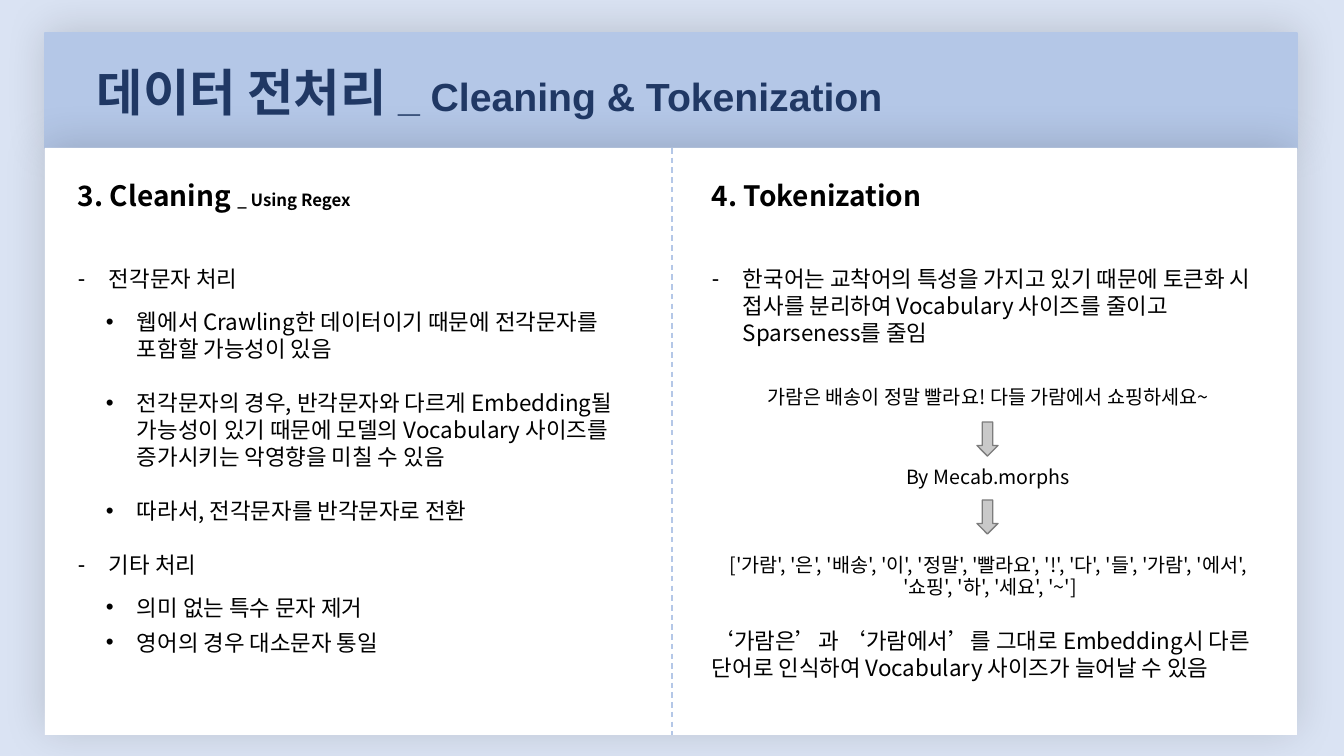
from lxml.etree import SubElement
from pptx import Presentation
from pptx.dml.color import RGBColor
from pptx.enum.dml import MSO_LINE
from pptx.enum.shapes import MSO_CONNECTOR, MSO_SHAPE
from pptx.enum.text import MSO_ANCHOR, MSO_AUTO_SIZE, PP_ALIGN
from pptx.oxml.ns import qn
from pptx.util import Emu, Pt

COLORS = {
    "background": "DAE3F3", "band": "B4C7E7", "panel": "FFFFFF", "title": "203864",
    "text": "000000", "arrow": "C9C9C9", "arrow_edge": "7C7C7C",
}
KOREAN_FONT = "Noto Sans CJK KR"
LINE_HEIGHT = {20: 36, 16: 27, 14: 23}
BULLETS = {0: ("-", 31), 1: ("•", 59)}
HANGING = 31

CLEANING = [
    (0, 53, "전각문자 처리"),
    (1, 16, "웹에서 Crawling한 데이터이기 때문에 전각문자를 포함할 가능성이 있음"),
    (1, 27, "전각문자의 경우, 반각문자와 다르게 Embedding될 가능성이 있기 때문에 "
            "모델의 Vocabulary 사이즈를 증가시키는 악영향을 미칠 수 있음"),
    (1, 27, "따라서, 전각문자를 반각문자로 전환"),
    (0, 27, "기타 처리"),
    (1, 16, "의미 없는 특수 문자 제거"),
    (1, 8, "영어의 경우 대소문자 통일"),
]
TOKENIZATION = [
    (0, 53, "한국어는 교착어의 특성을 가지고 있기 때문에 토큰화 시 접사를 분리하여 "
            "Vocabulary 사이즈를 줄이고 Sparseness를 줄임"),
]
SENTENCE = "가람은 배송이 정말 빨라요! 다들 가람에서 쇼핑하세요~"
TOKENS = ("['가람', '은', '배송', '이', '정말', '빨라요', '!', '다', '들', '가람', "
          "'에서', '쇼핑', '하', '세요', '~']")
REMARK = ("‘가람은’과 ‘가람에서’를 그대로 Embedding시 다른 단어로 인식하여 "
          "Vocabulary 사이즈가 늘어날 수 있음")


def px(length):
    """Turn a length in px into EMU."""
    return Emu(round(length * 914400 / 100.8))


def rgb(name):
    """Look up a named colour."""
    return RGBColor.from_string(COLORS[name])


def style_run(run, size, bold=False, color="text", latin=KOREAN_FONT):
    """Give a run its size, weight, colour and fonts."""
    font = run.font
    font.size, font.bold, font.name = Pt(size), bold, latin
    font.color.rgb = rgb(color)
    SubElement(run._r.get_or_add_rPr(), qn("a:ea")).set("typeface", KOREAN_FONT)


def style_paragraph(paragraph, size, before=0, align=PP_ALIGN.LEFT, bold=False):
    """Set spacing and alignment of a paragraph and style its runs."""
    paragraph.line_spacing = px(LINE_HEIGHT[size])
    paragraph.space_before, paragraph.space_after = px(before), Pt(0)
    paragraph.alignment = align
    for run in paragraph.runs:
        style_run(run, size, bold)


def set_bullet(paragraph, level):
    """Give a paragraph the bullet and indents of its level, or none."""
    properties = paragraph._p.get_or_add_pPr()
    if level is None:
        properties.set("marL", "0")
        properties.set("indent", "0")
        SubElement(properties, qn("a:buNone"))
        return
    mark, margin = BULLETS[level]
    paragraph.level = level
    properties.set("marL", str(px(margin)))
    properties.set("indent", str(-px(HANGING)))
    SubElement(properties, qn("a:buChar")).set("char", mark)


def fit_frame(frame, anchor=MSO_ANCHOR.TOP):
    """Give a text frame its wrapping, anchor and insets."""
    frame.word_wrap, frame.auto_size = True, MSO_AUTO_SIZE.NONE
    frame.vertical_anchor = anchor
    frame.margin_left = frame.margin_right = px(10)
    frame.margin_top = frame.margin_bottom = px(5)


def place(shape, box):
    """Move a placeholder to a box, in front of everything drawn so far."""
    shape.left, shape.top, shape.width, shape.height = map(px, box)
    shape.element.getparent().append(shape.element)


def add_filled(slide, kind, box, fill, edge=None):
    """Draw a flat preset shape."""
    shape = slide.shapes.add_shape(kind, *map(px, box))
    shape.shadow.inherit = False
    shape.fill.solid()
    shape.fill.fore_color.rgb = rgb(fill)
    if edge:
        shape.line.color.rgb, shape.line.width = rgb(edge), Pt(1)
    else:
        shape.line.fill.background()
    return shape


def add_panel(slide, box, fill, edge=None):
    """Draw a rectangle with a soft shadow above it."""
    panel = add_filled(slide, MSO_SHAPE.RECTANGLE, box, fill, edge)
    effects = panel.element.spPr.find(qn("a:effectLst"))
    shadow = SubElement(effects, qn("a:outerShdw"), blurRad=str(Pt(30)), dist=str(Pt(3)),
                        dir="16200000", algn="b", rotWithShape="0")
    tint = SubElement(shadow, qn("a:srgbClr"), val="000000")
    SubElement(tint, qn("a:alpha"), val="15000")


def add_divider(slide, x, top, bottom):
    """Draw the dashed line between the two columns."""
    divider = slide.shapes.add_connector(MSO_CONNECTOR.STRAIGHT, px(x), px(top), px(x), px(bottom))
    divider.line.color.rgb, divider.line.width = rgb("band"), Pt(1)
    divider.line.dash_style = MSO_LINE.DASH
    SubElement(divider.element.spPr, qn("a:effectLst"))


def add_label(slide, box, words, size=14, align=PP_ALIGN.CENTER):
    """Write one paragraph in a text box."""
    frame = slide.shapes.add_textbox(*map(px, box)).text_frame
    fit_frame(frame)
    frame.text = words
    style_paragraph(frame.paragraphs[0], size, align=align)


def fill_title(title, box):
    """Write the slide title with its smaller subtitle."""
    place(title, box)
    frame = title.text_frame
    fit_frame(frame, MSO_ANCHOR.MIDDLE)
    frame.text = "데이터 전처리 "
    heading = frame.paragraphs[0]
    heading.alignment = PP_ALIGN.LEFT
    heading.add_run().text = "_ Cleaning & Tokenization"
    for run, size in zip(heading.runs, (36, 28)):
        style_run(run, size, True, "title", "Arial")


def fill_column(body, box, heading, items, note=None):
    """Write a heading, with an optional small note, over a bulleted list."""
    place(body, box)
    frame = body.text_frame
    fit_frame(frame)
    frame.text = heading
    head = frame.paragraphs[0]
    set_bullet(head, None)
    style_paragraph(head, 20, bold=True)
    if note:
        run = head.add_run()
        run.text = note
        style_run(run, 12, True)
    for level, before, words in items:
        item = frame.add_paragraph()
        item.text = words
        set_bullet(item, level)
        style_paragraph(item, 16, before)


def add_example(slide, box):
    """Draw the tokenizing example: sentence, tool, tokens and remark."""
    left, top, width, _ = box
    add_label(slide, (left, top, width, 34), SENTENCE)
    add_label(slide, (left + 131, top + 80, width - 262, 34), "By Mecab.morphs")
    for offset in (42, 120):
        arrow_box = (left + width // 2 - 11, top + offset, 21, 34)
        add_filled(slide, MSO_SHAPE.DOWN_ARROW, arrow_box, "arrow", "arrow_edge")
    add_label(slide, (left, top + 168, width, 57), TOKENS)
    add_label(slide, (left, top + 242, width, 65), REMARK, 16, PP_ALIGN.LEFT)


def main():
    """Build the slide and save it."""
    deck = Presentation()
    deck.slide_width, deck.slide_height = px(1344), px(756)
    slide = deck.slides.add_slide(deck.slide_layouts[3])
    slide.background.fill.solid()
    slide.background.fill.fore_color.rgb = rgb("background")
    title, cleaning, tokenization = slide.placeholders
    add_panel(slide, (45, 33, 1252, 115), "band", "band")
    add_panel(slide, (45, 148, 1252, 587), "panel")
    fill_title(title, (87, 55, 1102, 72))
    fill_column(cleaning, (68, 171, 572, 489), "3. Cleaning ", CLEANING, "_ Using Regex")
    fill_column(tokenization, (702, 171, 572, 179), "4. Tokenization", TOKENIZATION)
    add_example(slide, (702, 380, 572, 307))
    add_divider(slide, 672, 148, 735)
    deck.save("out.pptx")


if __name__ == "__main__":
    main()
